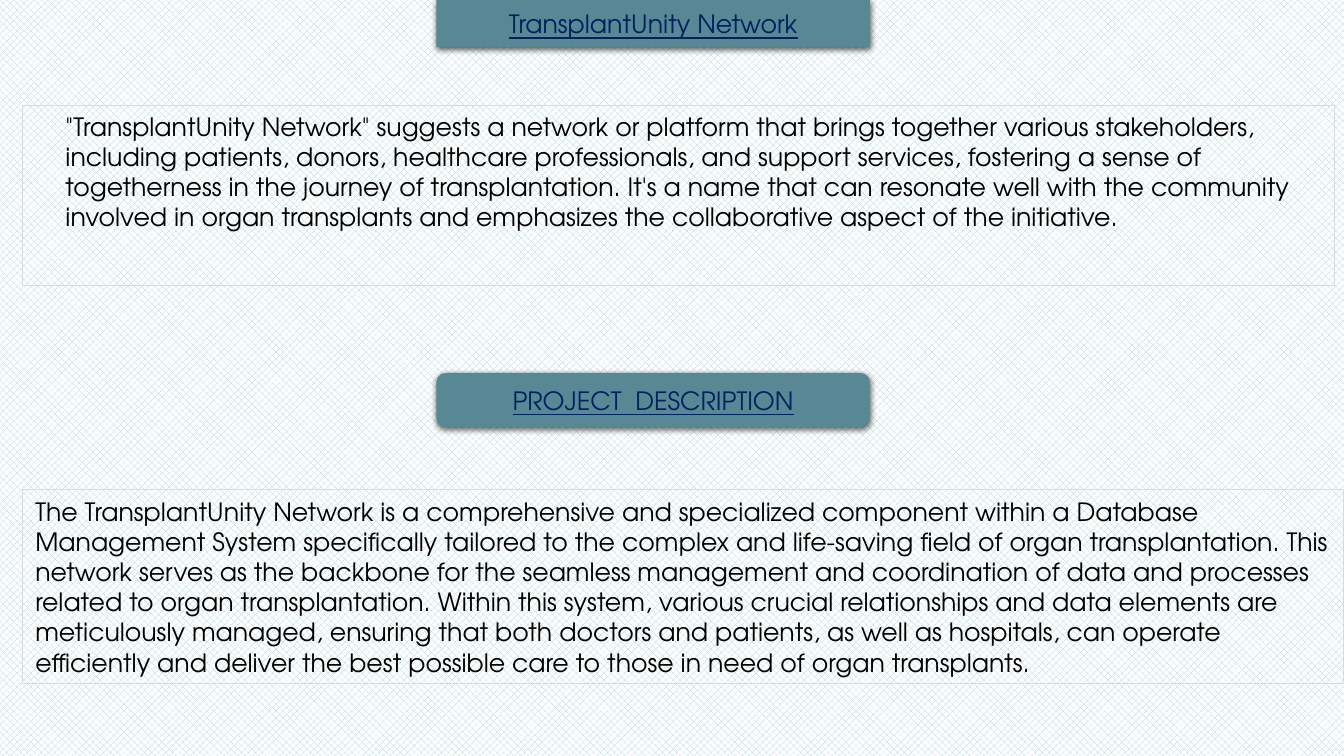
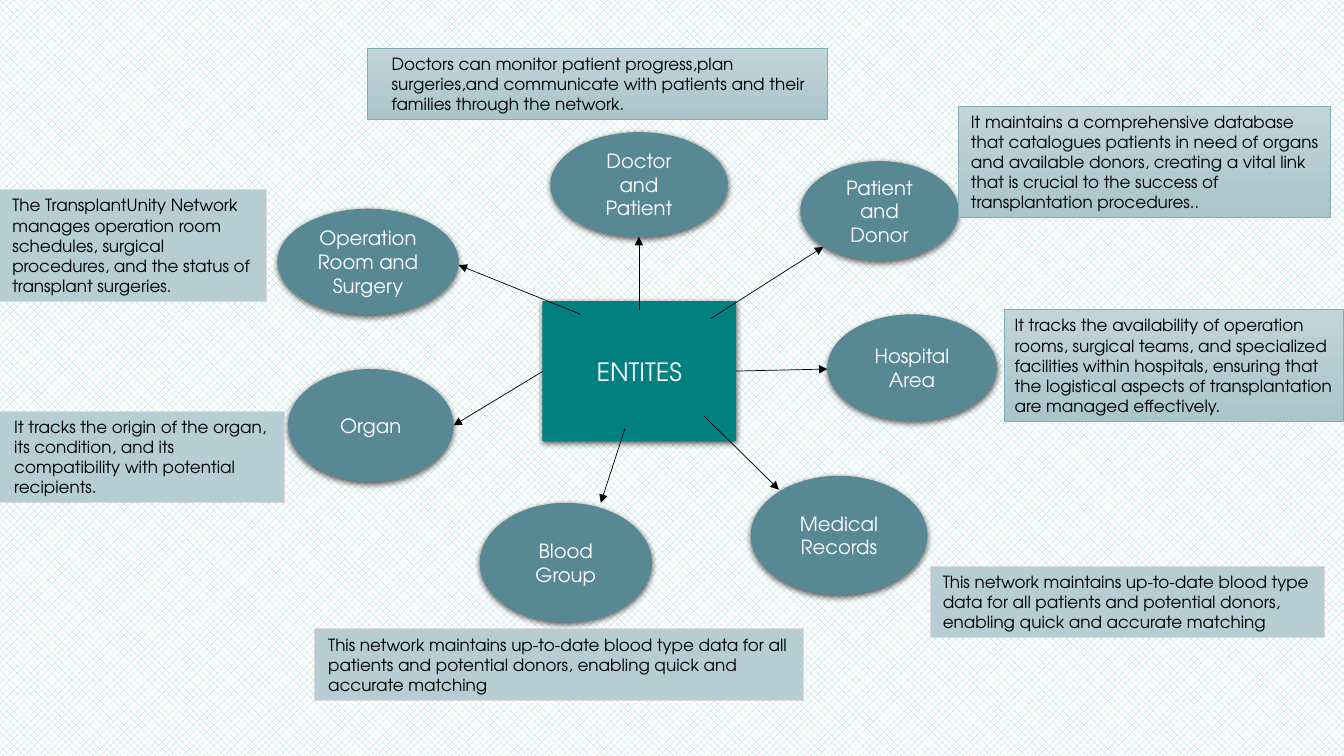
from dataclasses import dataclass

from lxml import etree
from pptx import Presentation
from pptx import util as u
from pptx.dml.color import RGBColor
from pptx.enum import dml, shapes, text
from pptx.oxml.ns import qn

# Shared style
FONT = "TeX Gyre Adventor"
BLACK, WHITE, NAVY = "000000", "FFFFFF", "002060"
SLATE, TEAL, MINT = "588894", "008080", "A0D4D3"
MIST, GREY, SKY = "B5CDD3", "DCD8DC", "84ACB6"
GRADIENT = ("C1D4D9", "AAC5CC")
BAND_LEFT, BAND_WIDTH = 11, 10.92
RIGHT_INSET = 0.2


@dataclass
class Entity:
    name: str
    oval: tuple      # left, top, width, height in cm
    arrow: tuple     # from x, y to x, y in cm
    note: str
    note_area: tuple
    inset: float
    shaded: bool = False


BLOOD_NOTE = ("This network maintains up-to-date blood type data for all patients "
              "and potential donors, enabling quick and accurate matching")

ENTITIES = [
    Entity("Doctor and Patient", (13.87, 3.33, 4.47, 2.64), (16.1, 7.8, 16.1, 5.97),
           "Doctors can monitor patient progress,plan surgeries,and communicate with "
           "patients and their families through the network.",
           (9.27, 1.22, 11.58, 1.8), 0.6, True),
    Entity("Patient and Donor", (20.17, 4.06, 3.99, 2.51), (17.91, 8.03, 20.75, 6.22),
           "It maintains a comprehensive database that catalogues patients in need of "
           "organs and available donors, creating a vital link that is crucial to the "
           "success of transplantation procedures..",
           (24.16, 2.67, 9.37, 2.82), 0.31, True),
    Entity("Hospital Area", (20.85, 7.92, 4.27, 2.69), (18.54, 9.35, 20.85, 9.3),
           "It tracks the availability of operation rooms, surgical teams, and "
           "specialized facilities within hospitals, ensuring that the logistical "
           "aspects of transplantation are managed effectively.",
           (25.3, 7.8, 8.56, 2.82), 0.27, True),
    Entity("Medical Records", (18.92, 11.99, 4.45, 3), (17.75, 10.49, 19.63, 12.34),
           BLOOD_NOTE, (23.44, 14.27, 9.93, 1.8), 0.32),
    Entity("Blood Group", (12.09, 12.67, 4.34, 3.02), (15.75, 10.8, 15.14, 12.67),
           BLOOD_NOTE, (7.92, 15.85, 12.32, 1.8), 0.35),
    Entity("Organ", (7.26, 9.3, 4.17, 2.84), (13.69, 9.35, 11.43, 10.72),
           "It tracks the origin of the organ, its condition, and its compatibility "
           "with potential recipients.",
           (-0.03, 10.36, 7.19, 2.31), 0.39),
    Entity("Operation Room and Surgery", (6.99, 5.26, 4.57, 2.67),
           (14.63, 7.92, 11.56, 6.68),
           "The TransplantUnity Network manages operation room schedules, surgical "
           "procedures, and the status of transplant surgeries.",
           (-0.08, 4.78, 6.81, 2.82), 0.39),
]

NAME_MEANING = (
    "\"TransplantUnity Network\" suggests a network or platform that brings together "
    "various stakeholders, including patients, donors, healthcare professionals, and "
    "support services, fostering a sense of togetherness in the journey of "
    "transplantation. It's a name that can resonate well with the community involved in "
    "organ transplants and emphasizes the collaborative aspect of the initiative.")

DESCRIPTION = (
    "The TransplantUnity Network is a comprehensive and specialized component within a "
    "Database Management System specifically tailored to the complex and life-saving "
    "field of organ transplantation. This network serves as the backbone for the seamless "
    "management and coordination of data and processes related to organ transplantation. "
    "Within this system, various crucial relationships and data elements are meticulously "
    "managed, ensuring that both doctors and patients, as well as hospitals, can operate "
    "efficiently and deliver the best possible care to those in need of organ transplants.")


# Formatting helpers
def color(hex_value):
    return RGBColor.from_string(hex_value)


def place(box, area):
    box.left, box.top, box.width, box.height = (u.Cm(value) for value in area)


def add_box(page, kind, area):
    return page.shapes.add_shape(kind, *(u.Cm(value) for value in area))


def set_outline(box, hex_value, width):
    box.line.color.rgb = color(hex_value)
    box.line.width = u.Pt(width)


def write(box, content, size, hex_value, centered=False, underline=None):
    frame = box.text_frame
    frame.text = content
    frame.word_wrap = True
    frame.auto_size = text.MSO_AUTO_SIZE.NONE
    frame.vertical_anchor = text.MSO_ANCHOR.MIDDLE
    para = frame.paragraphs[0]
    para.alignment = text.PP_ALIGN.CENTER if centered else text.PP_ALIGN.LEFT
    span = para.runs[0]
    span.font.name = FONT
    span.font.size = u.Pt(size)
    span.font.color.rgb = color(hex_value)
    span.font.underline = underline


def set_inset(box, left):
    box.text_frame.margin_left = u.Cm(left)
    box.text_frame.margin_right = u.Cm(RIGHT_INSET)


def add_shadow(box):
    box.shadow.inherit = False
    effects = box.element.spPr.find(qn("a:effectLst"))
    shadow = etree.SubElement(effects, qn("a:outerShdw"), blurRad="57150",
                              dist="19050", dir="5400000", algn="ctr", rotWithShape="0")
    tint = etree.SubElement(shadow, qn("a:srgbClr"), val=BLACK)
    etree.SubElement(tint, qn("a:alpha"), val="63000")


def style_raised(box, fill):
    box.fill.solid()
    box.fill.fore_color.rgb = color(fill)
    box.line.fill.background()
    add_shadow(box)


# Slide elements
def format_title(page, content, area, preset, fill, font_color, underline=None):
    title = page.shapes.title
    place(title, area)
    outline = etree.Element(qn("a:prstGeom"), prst=preset)
    etree.SubElement(outline, qn("a:avLst"))
    title.element.spPr.insert(1, outline)
    style_raised(title, fill)
    write(title, content, 18, font_color, centered=True, underline=underline)


def add_heading_band(page, content, area):
    band = add_box(page, shapes.MSO_SHAPE.ROUNDED_RECTANGLE, area)
    style_raised(band, SLATE)
    write(band, content, 18, NAVY, centered=True, underline=True)


def format_body(body, content, area, inset):
    place(body, area)
    set_outline(body, GREY, 0.75)
    write(body, content, 18, BLACK)
    set_inset(body, inset)
    para = body.text_frame.paragraphs[0]
    para.space_before = u.Pt(0)
    props = para._p.get_or_add_pPr()
    props.set("marL", "0")
    props.set("indent", "0")
    etree.SubElement(props, qn("a:buNone"))


def add_oval(page, name, area):
    oval = add_box(page, shapes.MSO_SHAPE.OVAL, area)
    style_raised(oval, SLATE)
    write(oval, name, 14, WHITE, centered=True)


def add_arrow(page, ends):
    arrow = page.shapes.add_connector(shapes.MSO_CONNECTOR.STRAIGHT,
                                      *(u.Cm(value) for value in ends))
    set_outline(arrow, BLACK, 0.5)
    etree.SubElement(arrow.line._get_or_add_ln(), qn("a:tailEnd"), type="triangle")
    etree.SubElement(arrow.element.spPr, qn("a:effectLst"))


def add_note(page, content, area, inset, shaded):
    note = add_box(page, shapes.MSO_SHAPE.RECTANGLE, area)
    note.shadow.inherit = False
    if shaded:
        note.fill.gradient()
        note.fill.gradient_angle = 270
        for stop, shade in zip(note.fill.gradient_stops, GRADIENT):
            stop.color.rgb = color(shade)
        set_outline(note, SKY, 0.5)
    else:
        note.fill.solid()
        note.fill.fore_color.rgb = color(MIST)
        set_outline(note, GREY, 0.75)
    write(note, content, 12, BLACK)
    set_inset(note, inset)


# Slides
def set_background(deck):
    fill = deck.slide_master.background.fill
    fill.patterned()
    fill.pattern = dml.MSO_PATTERN.PERCENT_50
    fill.fore_color.rgb = color(MINT)
    fill.back_color.rgb = color(WHITE)


def build_description(deck):
    page = deck.slides.add_slide(deck.slide_layouts.get_by_name("Two Content"))
    format_title(page, "TransplantUnity Network", (BAND_LEFT, 0, BAND_WIDTH, 1.19),
                 "roundRect", SLATE, NAVY, underline=True)
    meaning, description = page.placeholders[1], page.placeholders[2]
    format_body(meaning, NAME_MEANING, (0.56, 2.67, 33.07, 4.52), 1.09)
    meaning.text_frame.vertical_anchor = text.MSO_ANCHOR.TOP
    add_heading_band(page, "PROJECT  DESCRIPTION", (BAND_LEFT, 9.4, BAND_WIDTH, 1.37))
    format_body(description, DESCRIPTION, (0.56, 12.34, 33.3, 4.88), 0.33)


def build_entities(deck):
    page = deck.slides.add_slide(deck.slide_layouts.get_by_name("Title Only"))
    format_title(page, "ENTITES", (13.67, 7.59, 4.88, 3.53), "cloud", TEAL, WHITE)
    for entity in ENTITIES:
        add_oval(page, entity.name, entity.oval)
        add_arrow(page, entity.arrow)
        add_note(page, entity.note, entity.note_area, entity.inset, entity.shaded)


def main():
    deck = Presentation()
    deck.slide_width, deck.slide_height = u.Cm(33.87), u.Cm(19.05)
    set_background(deck)
    build_description(deck)
    build_entities(deck)
    deck.save("out.pptx")


if __name__ == "__main__":
    main()
